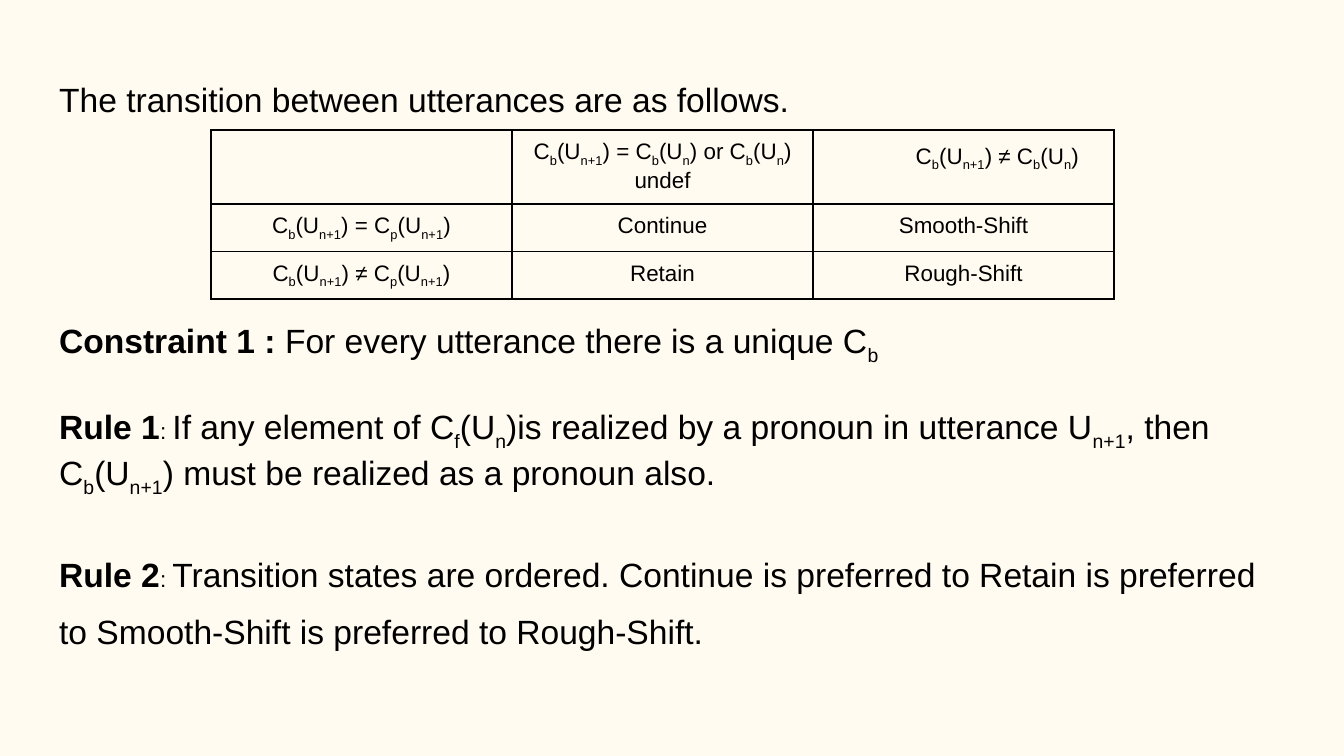
from lxml import etree
from pptx import Presentation
from pptx.dml.color import RGBColor
from pptx.enum.text import MSO_ANCHOR, MSO_AUTO_SIZE, PP_ALIGN
from pptx.oxml.ns import qn
from pptx.util import Pt

LEFT, CENTER = PP_ALIGN.LEFT, PP_ALIGN.CENTER
TOP, NO_FIT = MSO_ANCHOR.TOP, MSO_AUTO_SIZE.NONE
INK, CREAM = "000000", "FFFBF0"

# Content: text between underscores is subscript
# Each paragraph: lines of space before, line spacing, runs of (text, size, bold)
BODY = [
    (0, 1.0, [("The transition between utterances are as follows.", 18, False)]),
    (5, 1.0, [("Constraint 1 : ", 18, True),
              ("For every utterance there is a unique C_b_", 18, False)]),
    (1, 1.0, [("Rule 1", 18, True), (": ", 12, False),
              ("If any element of C_f_(U_n_)is realized by a pronoun in utterance "
               "U_n+1_, then C_b_(U_n+1_) must be realized as a pronoun also.",
               18, False)]),
    (1, 1.4, [("Rule 2", 18, True), (": ", 12, False),
              ("Transition states are ordered. Continue is preferred to Retain is "
               "preferred to Smooth-Shift is preferred to Rough-Shift.", 18, False)]),
]
STATES = [
    ["", "C_b_(U_n+1_) = C_b_(U_n_) or C_b_(U_n_) undef", "C_b_(U_n+1_) ≠ C_b_(U_n_)"],
    ["C_b_(U_n+1_) = C_p_(U_n+1_)", "Continue", "Smooth-Shift"],
    ["C_b_(U_n+1_) ≠ C_p_(U_n+1_)", "Retain", "Rough-Shift"],
]
LINE = 21.5
COL, ROWS = 161.3, [39.6, 24.5, 24.5]


def color(code):
    return RGBColor.from_string(code)


def style(para, align):
    para.alignment = align
    para.font.name = "Arial"
    para.font.color.rgb = color(INK)


def write(para, text, size=None, bold=None):
    for i, part in enumerate(text.split("_")):
        if part:
            run = para.add_run()
            run.text = part
            if size:
                run.font.size = Pt(size)
            if bold is not None:
                run.font.bold = bold
            if i % 2:
                run.font._element.set("baseline", "-25000")


def border(cell):
    props = cell._tc.get_or_add_tcPr()
    for i, side in enumerate(("lnL", "lnR", "lnT", "lnB")):
        line = etree.Element(qn("a:" + side), w=str(Pt(1)))
        fill = etree.SubElement(line, qn("a:solidFill"))
        etree.SubElement(fill, qn("a:srgbClr"), val=INK)
        props.insert(i, line)


# Slide
prs = Presentation()
prs.slide_width, prs.slide_height = Pt(720), Pt(405)
slide = prs.slides.add_slide(prs.slide_layouts[5])
slide.background.fill.solid()
slide.background.fill.fore_color.rgb = color(CREAM)

# Text in the title placeholder
title = slide.shapes.title
title.left, title.top, title.width, title.height = Pt(24.5), Pt(35.3), Pt(671), Pt(342.7)
frame = title.text_frame
frame.word_wrap, frame.auto_size, frame.vertical_anchor = True, NO_FIT, TOP
frame.margin_left = frame.margin_right = frame.margin_top = frame.margin_bottom = Pt(7.2)
for i, (gap, space, runs) in enumerate(BODY):
    para = frame.add_paragraph() if i else frame.paragraphs[0]
    style(para, LEFT)
    para.space_before, para.line_spacing = Pt(gap * LINE), space
    for run in runs:
        write(para, *run)

# Transition table
grid = slide.shapes.add_table(3, 3, Pt(113), Pt(69.8), Pt(3 * COL), Pt(sum(ROWS))).table
grid.first_row = grid.horz_banding = False
for col in grid.columns:
    col.width = Pt(COL)
for r, (high, texts) in enumerate(zip(ROWS, STATES)):
    grid.rows[r].height = Pt(high)
    for c, text in enumerate(texts):
        cell = grid.cell(r, c)
        cell.fill.background()
        border(cell)
        cell.margin_left = cell.margin_right = cell.margin_top = cell.margin_bottom = Pt(5)
        para = cell.text_frame.paragraphs[0]
        style(para, CENTER)
        para.font.size = Pt(12)
        write(para, text)

# Last heading is indented
head = grid.cell(0, 2).text_frame.paragraphs[0]
head.line_spacing = 1.15
head._p.get_or_add_pPr().set("marL", str(Pt(36)))

prs.save("out.pptx")
